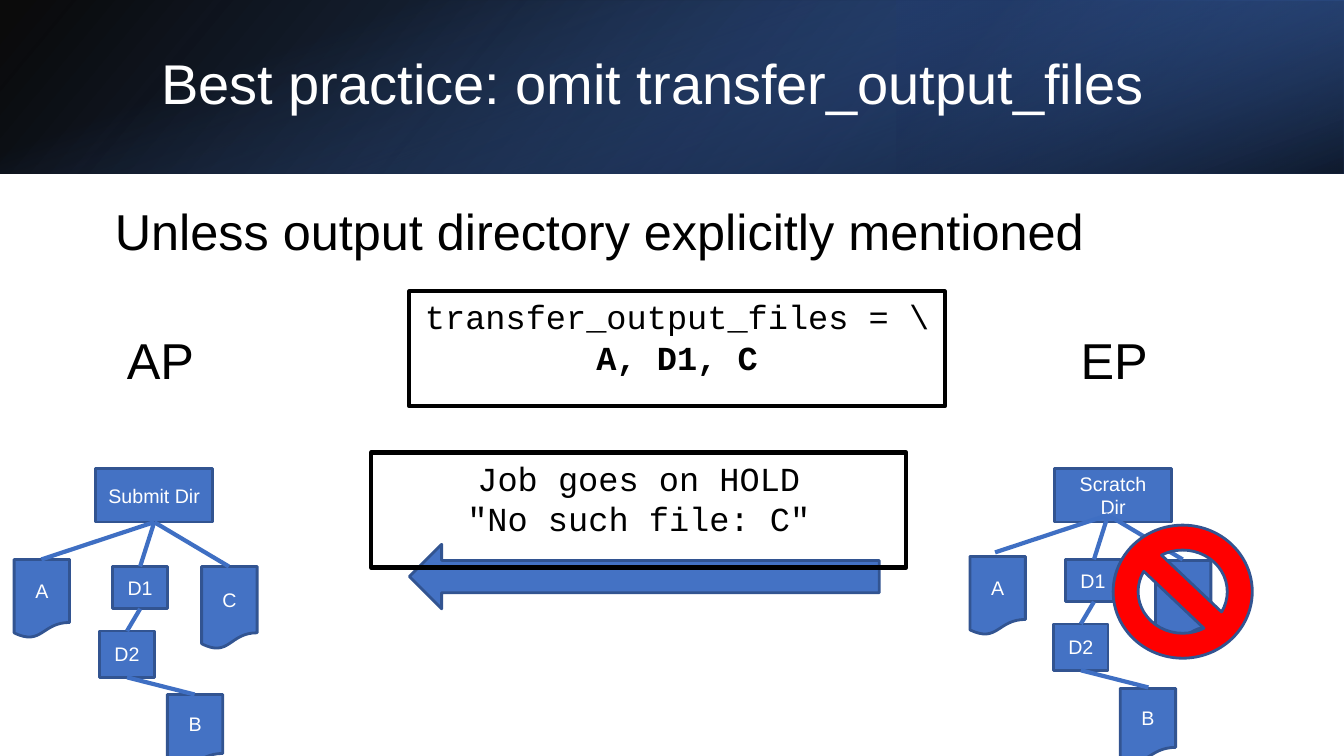
from dataclasses import dataclass

from lxml.etree import SubElement
from pptx import Presentation
from pptx.dml.color import RGBColor
from pptx.enum.shapes import MSO_CONNECTOR, MSO_SHAPE
from pptx.enum.text import MSO_ANCHOR, PP_ALIGN
from pptx.oxml import parse_xml
from pptx.oxml.ns import nsdecls, qn
from pptx.util import Inches, Pt


@dataclass(frozen=True)
class Theme:
    sans: str = "Arial"
    mono: str = "Courier New"
    black: str = "000000"
    white: str = "FFFFFF"
    blue: str = "4472C4"
    edge: str = "325491"
    link: str = "3F6FC3"
    navy: str = "203864"
    steel: str = "2F5597"
    red: str = "FF0000"
    title: int = 40
    body: int = 36
    code: int = 24
    node: int = 14


theme = Theme()
deck = Presentation()
deck.slide_width, deck.slide_height = Inches(13.33), Inches(7.5)
slide = deck.slides.add_slide(deck.slide_layouts[6])


def draw(kind, place, fill=None, line=None, width=2):
    shape = slide.shapes.add_shape(kind, *map(Inches, place))
    shape.shadow.inherit = False
    if fill:
        shape.fill.solid()
        shape.fill.fore_color.rgb = RGBColor.from_string(fill)
    else:
        shape.fill.background()
    if line:
        shape.line.color.rgb = RGBColor.from_string(line)
        shape.line.width = Pt(width)
    else:
        shape.line.fill.background()
    return shape


def write(shape, text, size=theme.node, font=theme.sans, color=theme.white,
          align=PP_ALIGN.CENTER, anchor=MSO_ANCHOR.MIDDLE, space=1.0, bold=()):
    frame = shape.text_frame
    frame.word_wrap = True
    frame.vertical_anchor = anchor
    for row, words in enumerate(text.split("\n")):
        para = frame.paragraphs[0] if row == 0 else frame.add_paragraph()
        para.alignment = align
        para.line_spacing = space
        run = para.add_run()
        run.text = words
        run.font.name = font
        run.font.size = Pt(size)
        run.font.bold = row in bold
        run.font.color.rgb = RGBColor.from_string(color)


bands = [
    ((0, 0, 13.33, 1.72), 0, True, 140,
     [(0, theme.black, 96), (100, theme.steel, 100)]),
    ((8.89, 0, 4.44, 1.72), 180, True, 320,
     [(19, theme.navy, 68), (100, theme.blue, 79)]),
    ((5.8, -5.8, 1.72, 13.33), 90, False, 340,
     [(23, theme.blue, 0), (99, theme.black, 74)]),
]
for place, turn, flip, angle, stops in bands:
    band = draw(MSO_SHAPE.RECTANGLE, place)
    band.rotation = turn
    props = band._element.spPr
    if flip:
        props.find(qn("a:xfrm")).set("flipH", "1")
    grad = parse_xml(f'<a:gradFill {nsdecls("a")} rotWithShape="1"><a:gsLst/>'
                     f'<a:lin ang="{angle * 60000}" scaled="0"/></a:gradFill>')
    for spot, color, alpha in stops:
        stop = SubElement(grad[0], qn("a:gs"), pos=str(spot * 1000))
        tone = SubElement(stop, qn("a:srgbClr"), val=color)
        SubElement(tone, qn("a:alpha"), val=str(alpha * 1000))
    props.replace(props.find(qn("a:noFill")), grad)

labels = [
    ("Best practice: omit transfer_output_files", (1.5, 0.38, 10.98, 0.96),
     dict(size=theme.title, anchor=MSO_ANCHOR.MIDDLE, space=0.9)),
    ("Unless output directory explicitly mentioned", (1.04, 2, 11.86, 0.69),
     dict(size=theme.body, color=theme.black, space=0.9, anchor=MSO_ANCHOR.TOP)),
    ("AP", (1.16, 3.22, 1, 0.71),
     dict(size=theme.body, color=theme.black, anchor=MSO_ANCHOR.TOP)),
    ("EP", (10.62, 3.22, 1, 0.71),
     dict(size=theme.body, color=theme.black, anchor=MSO_ANCHOR.TOP)),
]
for text, place, style in labels:
    box = slide.shapes.add_textbox(*map(Inches, place))
    write(box, text, align=PP_ALIGN.LEFT, **style)

sheet, rect = MSO_SHAPE.FLOWCHART_DOCUMENT, MSO_SHAPE.RECTANGLE
sizes = {
    "A": (sheet, 0.55, 0.78),
    "B": (sheet, 0.55, 0.73),
    "C": (sheet, 0.55, 0.82),
    "D1": (rect, 0.54, 0.42),
    "D2": (rect, 0.54, 0.46),
}
trees = [
    ("Submit Dir", 0.95, 0, 0,
     {"A": (0.14, 5.55), "B": (1.66, 6.89), "C": (2, 5.62),
      "D1": (1.12, 5.62), "D2": (0.99, 6.26)}),
    ("Scratch Dir", 10.46, 9.46, -0.07,
     {"A": (9.62, 5.52), "B": (11.11, 6.83), "C": (11.46, 5.56),
      "D1": (10.57, 5.55), "D2": (10.45, 6.19)}),
]
links = [
    (1.53, 5.18, 0.41, 5.55),
    (1.53, 5.18, 2.27, 5.62),
    (1.39, 5.62, 1.53, 5.18),
    (1.39, 6.04, 1.26, 6.26),
    (1.26, 6.72, 1.93, 6.89),
]
for root, left, right, down, spots in trees:
    write(draw(rect, (left, 4.65, 1.16, 0.53), theme.blue, theme.edge), root)
    for name, spot in spots.items():
        kind, wide, high = sizes[name]
        write(draw(kind, (*spot, wide, high), theme.blue, theme.edge), name)
    for x1, y1, x2, y2 in links:
        ends = (x1 + right, y1 + down, x2 + right, y2 + down)
        link = slide.shapes.add_connector(MSO_CONNECTOR.STRAIGHT, *map(Inches, ends))
        link.line.color.rgb = RGBColor.from_string(theme.link)
        link.line.width = Pt(3)
        SubElement(link._element.spPr, qn("a:effectLst"))

arrow = draw(MSO_SHAPE.RIGHT_ARROW, (4.06, 5.4, 4.66, 0.64), theme.blue, theme.edge)
arrow.rotation = 180
draw(MSO_SHAPE.NO_SYMBOL, (11.04, 5.21, 1.38, 1.32), theme.red, theme.edge)

frames = [
    ("transfer_output_files = \\\nA, D1, C", (4.06, 2.89, 5.31, 1.14), (1,)),
    ("Job goes on HOLD\n\"No such file: C\"", (3.68, 4.49, 5.31, 1.14), ()),
]
for text, place, bold in frames:
    write(draw(rect, place, line=theme.black, width=3), text, size=theme.code,
          font=theme.mono, color=theme.black, anchor=MSO_ANCHOR.TOP, bold=bold)

deck.save("out.pptx")
